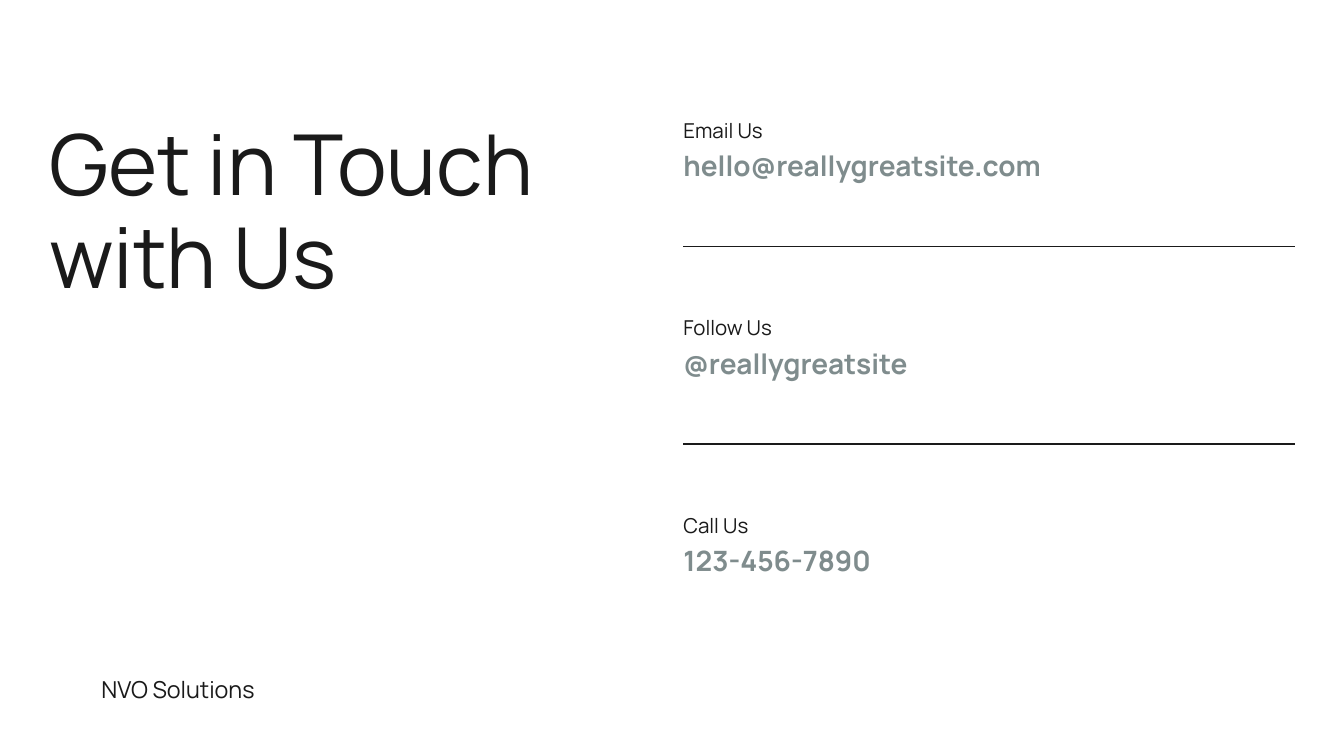
from pptx import Presentation
from pptx import util as u
from pptx.dml.color import RGBColor
from pptx.enum import shapes, text
from pptx.oxml.ns import qn
from lxml import etree

PX = 9144  # EMU per px, 100 px to the inch
FONT = "Manrope"
INK, GREY, WHITE = "1A1A1A", "7F8C8D", "FFFFFF"
CONTACTS = [
    ("Email Us", "hello@reallygreatsite.com"),
    ("Follow Us", "@reallygreatsite"),
    ("Call Us", "123-456-7890"),
]


def px(n):
    return u.Emu(n * PX)


def color(code):
    return RGBColor.from_string(code)


def write(shape, words, size, lead, ink=INK, bold=False):
    """Fill a shape with one left-aligned paragraph, without insets."""
    frame = shape.text_frame
    frame.word_wrap = True
    frame.auto_size = text.MSO_AUTO_SIZE.NONE
    frame.vertical_anchor = text.MSO_ANCHOR.TOP
    frame.margin_left = frame.margin_right = 0
    frame.margin_top = frame.margin_bottom = 0
    para = frame.paragraphs[0]
    para.text = words
    para.alignment = text.PP_ALIGN.LEFT
    para.line_spacing = u.Pt(lead)
    para.font.name = FONT
    para.font.size = u.Pt(size)
    para.font.bold = bold
    para.font.color.rgb = color(ink)


def label(slide, x, y, w, h, *style):
    write(slide.shapes.add_textbox(px(x), px(y), px(w), px(h)), *style)


def rule(slide, x, y, w):
    line = slide.shapes.add_connector(
        shapes.MSO_CONNECTOR.STRAIGHT, px(x), px(y), px(x + w), px(y))
    line.line.color.rgb = color(INK)
    line.line.width = u.Pt(1.5)
    etree.SubElement(line._element.spPr, qn("a:effectLst"))


def heading(slide, x, y, w, h):
    title = slide.shapes.title
    title.left, title.top, title.width, title.height = map(px, (x, y, w, h))
    write(title, "Get in Touch with Us", 90, 99)


def contacts(slide, x, y, w, pitch):
    for i, (name, value) in enumerate(CONTACTS):
        top = y + i * pitch
        # Divider above every entry but the first
        if i:
            rule(slide, x, top - 96, w)
        label(slide, x, top, w, 41, name, 22, 30.8)
        label(slide, x, top + 44, w, 55, value, 30, 42, GREY, True)


def footer(slide, x, y, w, h):
    label(slide, x, y, w, h, "NVO Solutions", 25, 27.5)


def main():
    deck = Presentation()
    deck.slide_width, deck.slide_height = px(2000), px(1125)
    slide = deck.slides.add_slide(deck.slide_layouts[5])  # Title Only
    slide.background.fill.solid()
    slide.background.fill.fore_color.rgb = color(WHITE)

    heading(slide, 73, 179, 786, 279)
    contacts(slide, 1017, 169, 910, 294)
    footer(slide, 151, 1008, 522, 40)
    deck.save("out.pptx")


if __name__ == "__main__":
    main()
